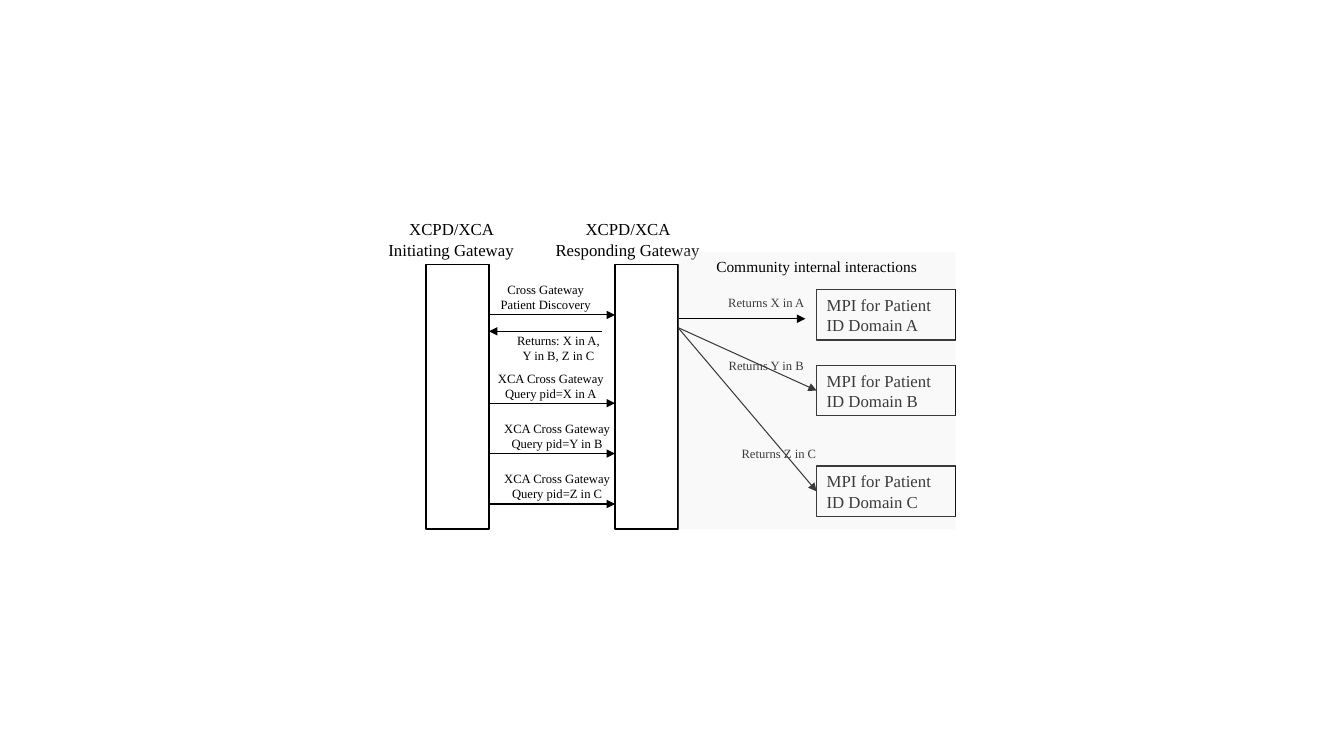
"""Draw the sequence diagram of cross-gateway patient discovery and query."""
from dataclasses import dataclass
from typing import Optional

import lxml.etree
import pptx
import pptx.dml.color
import pptx.enum.shapes
import pptx.enum.text
import pptx.oxml.ns
import pptx.util

COLOURS = {"ink": "000000", "paper": "FFFFFF", "panel": "EAEAEA"}
FONT = "Times New Roman"
CELL = 0.125
LEFT, TOP = 3.725, 2.125
CENTER = pptx.enum.text.PP_ALIGN.CENTER
START = pptx.enum.text.PP_ALIGN.LEFT


@dataclass
class Box:
    """Text box or rectangle, placed in grid columns and rows."""
    column: float
    row: float
    columns: float
    rows: float
    text: str = ""
    size: float = 9
    fill: Optional[str] = None
    outlined: bool = False
    align: pptx.enum.text.PP_ALIGN = CENTER
    opacity: int = 100


@dataclass
class Arrow:
    """Arrow between two grid points."""
    column: float
    row: float
    end_column: float
    end_row: float


def across(column: float) -> pptx.util.Length:
    """Turn a grid column into a slide position."""
    return pptx.util.Inches(LEFT + column * CELL)


def down(row: float) -> pptx.util.Length:
    """Turn a grid row into a slide position."""
    return pptx.util.Inches(TOP + row * CELL)


def colour(name: str) -> pptx.dml.color.RGBColor:
    """Look up a named colour."""
    return pptx.dml.color.RGBColor.from_string(COLOURS[name])


def add_child(parent, tag: str, **attributes: str) -> None:
    """Append a drawing element to its parent."""
    lxml.etree.SubElement(parent, pptx.oxml.ns.qn(tag), attributes)


def draw_box(page, box: Box) -> None:
    """Draw a text box, or a rectangle when the box has a fill."""
    frame = (across(box.column), down(box.row),
             pptx.util.Inches(box.columns * CELL), pptx.util.Inches(box.rows * CELL))
    if box.fill:
        shape = page.shapes.add_shape(pptx.enum.shapes.MSO_SHAPE.RECTANGLE, *frame)
        shape.shadow.inherit = False
        shape.fill.solid()
        shape.fill.fore_color.rgb = colour(box.fill)
        if box.opacity < 100:
            tint = shape.fill._xPr.find(".//" + pptx.oxml.ns.qn("a:srgbClr"))
            add_child(tint, "a:alpha", val=str(box.opacity * 1000))
        if box.outlined:
            shape.line.color.rgb = colour("ink")
            shape.line.width = pptx.util.Pt(1)
        else:
            shape.line.fill.background()
    else:
        shape = page.shapes.add_textbox(*frame)
    if box.text:
        shape.text_frame.word_wrap = True
        shape.text_frame.vertical_anchor = pptx.enum.text.MSO_ANCHOR.TOP
        para = shape.text_frame.paragraphs[0]
        para.text = box.text
        para.alignment = box.align
        para.font.name = FONT
        para.font.size = pptx.util.Pt(box.size)
        para.font.color.rgb = colour("ink")


def draw_arrow(page, arrow: Arrow) -> None:
    """Draw a thin line with a triangular head."""
    line = page.shapes.add_connector(
        pptx.enum.shapes.MSO_CONNECTOR.STRAIGHT, across(arrow.column), down(arrow.row),
        across(arrow.end_column), down(arrow.end_row))
    line.line.color.rgb = colour("ink")
    line.line.width = pptx.util.Pt(0.75)
    add_child(line.line._ln, "a:tailEnd", type="triangle")
    add_child(line._element.spPr, "a:effectLst")


HEADERS = [Box(0, 0, 12, 5, "XCPD/XCA Initiating Gateway", 12, "paper"),
           Box(13, 0, 14, 5, "XCPD/XCA Responding Gateway", 12, "paper")]
LIFELINES = [Box(column, 4, 5, 21, fill="paper", outlined=True) for column in (4, 19)]
DOMAINS = [Box(35, row, 11, 4, f"MPI for Patient ID Domain {name}", 12, "paper", True, START)
           for name, row in (("A", 6), ("B", 12), ("C", 20))]
RETURNS = [Box(column, row, 8, 2, text)
           for column, row, text in ((27, 6, "Returns X in A"), (27, 11, "Returns Y in B"),
                                     (28, 18, "Returns Z in C"))]
DOMAIN_ARROWS = [Arrow(24, 9, 35, row) for row in (14, 22)]
PANEL = Box(24, 3, 22, 22, "Community internal interactions", 11, "panel", opacity=25)
MESSAGES = [Box(9, 5, 9, 3, "Cross Gateway Patient Discovery"),
            Box(10, 9, 9, 3, "Returns: X in A, Y in B, Z in C")]
QUERIES = [Box(8.4, row, columns, 3, f"XCA Cross Gateway Query pid={pid}")
           for row, columns, pid in ((12, 11, "X in A"), (16, 12, "Y in B"), (20, 12, "Z in C"))]
GATEWAY_ARROWS = [Arrow(9, row, 19, row) for row in (8, 15, 19, 23)]
REPLY_ARROWS = [Arrow(24.1, 8.3, 34.1, 8.3), Arrow(18, 9.3, 9, 9.3)]


def main() -> None:
    """Build the slide and save it."""
    deck = pptx.Presentation()
    deck.slide_width = pptx.util.Inches(13.33)
    deck.slide_height = pptx.util.Inches(7.5)
    page = deck.slides.add_slide(deck.slide_layouts[6])
    layers = [*HEADERS, *LIFELINES, *DOMAINS, *DOMAIN_ARROWS, *RETURNS, PANEL,
              *MESSAGES, *QUERIES, *GATEWAY_ARROWS, *REPLY_ARROWS]
    for item in layers:
        if isinstance(item, Box):
            draw_box(page, item)
        else:
            draw_arrow(page, item)
    deck.save("out.pptx")


if __name__ == "__main__":
    main()
